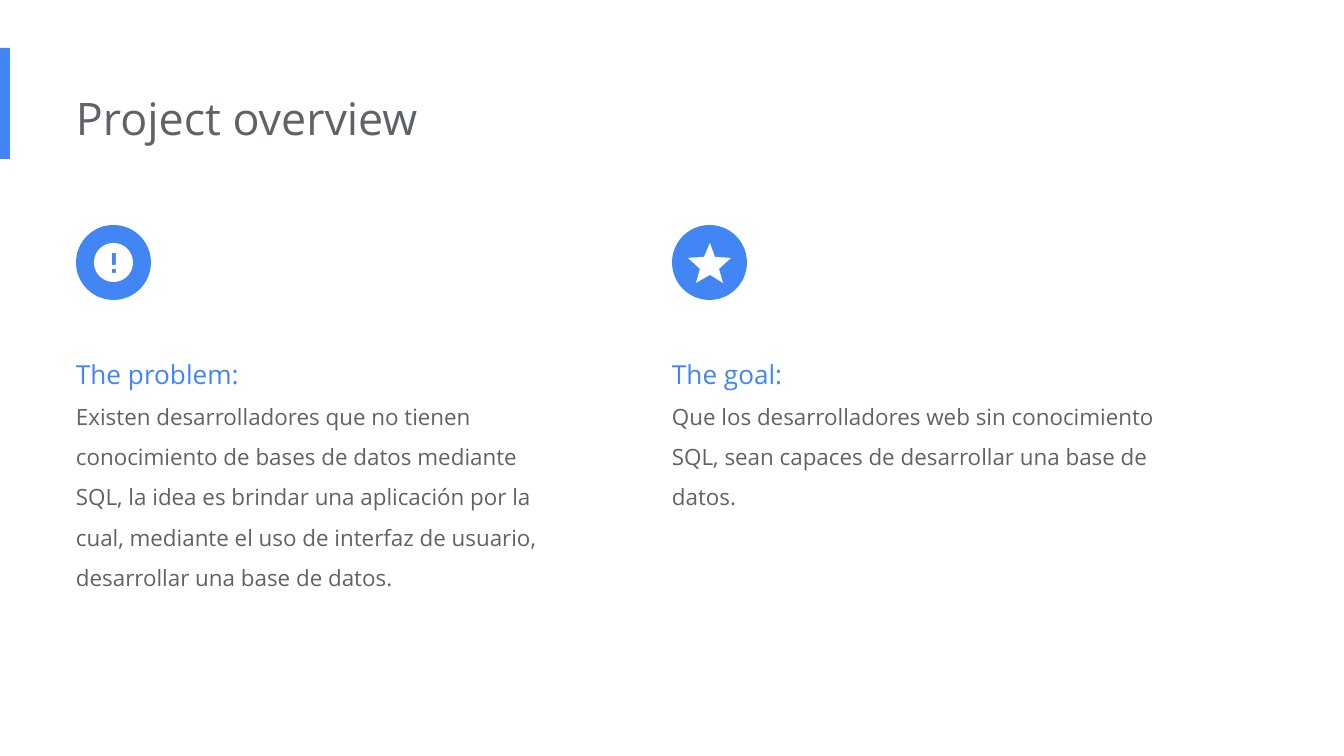
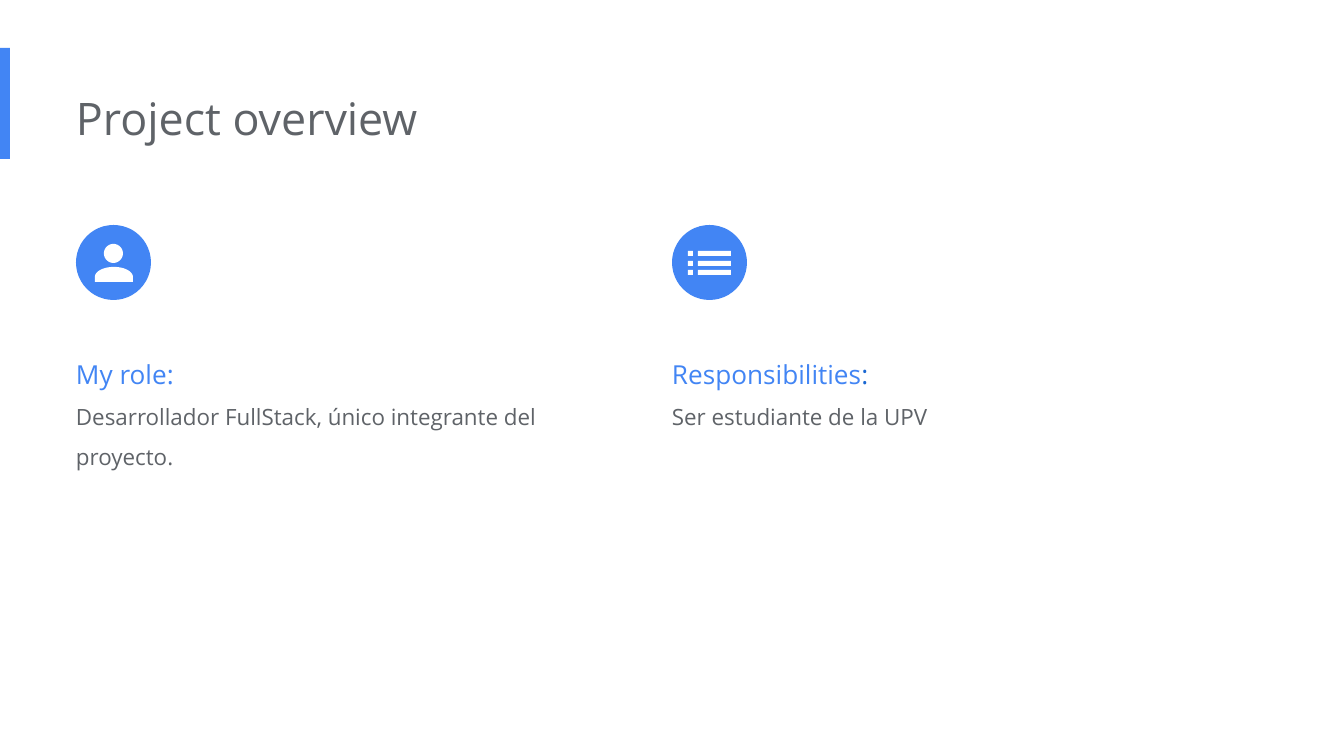
import math
from dataclasses import dataclass

import pptx
import pptx.dml.color
import pptx.enum.shapes
import pptx.enum.text
import pptx.shapes.base
import pptx.slide
import pptx.text.text
import pptx.util

SCALE = 9144000 / 1344
BLUE = "4285F4"
NAVY = "1967D2"
GRAY = "5F6368"
WHITE = "FFFFFF"
FACE = "Open Sans"
TITLE = "Project overview"
LEFT = 76
RIGHT = 672
DISC_TOP = 225
DISC_SIZE = 75
BODY_TOP = 329
BODY_WIDTH = 507

Point = tuple[float, float]
Outline = list[Point]


@dataclass(frozen=True)
class Span:
    text: str
    color: str
    size: int


@dataclass(frozen=True)
class Column:
    left: int
    height: int
    head: list[Span]
    body: str
    icon: list[Outline]


def emu(px: float) -> int:
    return round(px * SCALE)


def color(code: str) -> pptx.dml.color.RGBColor:
    return pptx.dml.color.RGBColor.from_string(code)


def format(target: object, values: dict[str, object]) -> None:
    for key, value in values.items():
        setattr(target, key, value)


def place(shape: pptx.shapes.base.BaseShape, *box: int) -> None:
    format(shape, dict(zip(("left", "top", "width", "height"), map(emu, box))))


def rect(left: int, top: int, width: int, height: int) -> Outline:
    right, base = left + width, top + height
    return [(left, top), (right, top), (right, base), (left, base)]


def arc(left: int, top: int, width: int, height: int, turn: int = 360) -> Outline:
    angles = [math.radians(180 + step) for step in range(0, turn + 1, 6)]
    return [
        (left + width / 2 * (1 + math.cos(a)), top + height / 2 * (1 + math.sin(a)))
        for a in angles
    ]


ALERT = [arc(18, 18, 39, 39), rect(36, 28, 4, 12), rect(36, 44, 4, 4)]
STAR = [[
    (38, 18), (43, 32), (59, 33), (47, 44), (51, 58),
    (38, 50), (24, 58), (28, 44), (16, 33), (32, 32),
]]
PERSON = [arc(28, 19, 19, 19), arc(19, 42, 38, 20, 180) + [(57, 57), (19, 57)]]
LIST = [rect(x, y, width, 5) for y in (26, 36, 45) for x, width in ((16, 5), (26, 33))]


def paint(shape: pptx.shapes.base.BaseShape, code: str) -> None:
    shape.shadow.inherit = False
    shape.fill.solid()
    shape.fill.fore_color.rgb = color(code)
    shape.line.fill.background()


def draw_shape(slide: pptx.slide.Slide, kind: pptx.enum.shapes.MSO_SHAPE, *box: int) -> None:
    paint(slide.shapes.add_shape(kind, *map(emu, box)), BLUE)


def draw_icon(slide: pptx.slide.Slide, left: int, icon: list[Outline]) -> None:
    paths = [[(emu(left + x), emu(DISC_TOP + y)) for x, y in path] for path in icon]
    pen = slide.shapes.build_freeform(*paths[0][0])
    for path in paths:
        if path is not paths[0]:
            pen.move_to(*path[0])
        pen.add_line_segments(path[1:], close=True)
    paint(pen.convert_to_shape(), WHITE)


def set_frame(frame: pptx.text.text.TextFrame) -> None:
    inset = pptx.util.Inches(0.1)
    format(frame, {
        "word_wrap": True,
        "auto_size": pptx.enum.text.MSO_AUTO_SIZE.SHAPE_TO_FIT_TEXT,
        "vertical_anchor": pptx.enum.text.MSO_ANCHOR.TOP,
        "margin_left": 0,
        "margin_top": inset,
        "margin_right": inset,
        "margin_bottom": inset,
    })


def write(para: pptx.text.text._Paragraph, spans: list[Span], spacing: float) -> None:
    format(para, {
        "alignment": pptx.enum.text.PP_ALIGN.LEFT,
        "line_spacing": spacing,
    })
    for span in spans:
        run = para.add_run()
        run.text = span.text
        format(run.font, {"name": FACE, "size": pptx.util.Pt(span.size)})
        run.font.color.rgb = color(span.color)


def draw_column(slide: pptx.slide.Slide, column: Column) -> None:
    box = slide.shapes.add_textbox(
        *map(emu, (column.left, BODY_TOP, BODY_WIDTH, column.height))
    )
    frame = box.text_frame
    set_frame(frame)
    write(frame.paragraphs[0], column.head, 1.5)
    write(frame.add_paragraph(), [Span(column.body, GRAY, 12)], 1.5)
    draw_shape(
        slide, pptx.enum.shapes.MSO_SHAPE.OVAL,
        column.left, DISC_TOP, DISC_SIZE, DISC_SIZE,
    )
    draw_icon(slide, column.left, column.icon)


def draw_title(slide: pptx.slide.Slide) -> None:
    draw_shape(slide, pptx.enum.shapes.MSO_SHAPE.RECTANGLE, 0, 48, 10, 111)
    title = slide.shapes.title
    place(title, LEFT, 77, 905, 82)
    set_frame(title.text_frame)
    write(title.text_frame.paragraphs[0], [Span(TITLE, GRAY, 24)], 1.0)


SLIDES = [
    [
        Column(
            LEFT, 265, [Span("The problem:", BLUE, 14)],
            "Existen desarrolladores que no tienen conocimiento de bases de datos "
            "mediante SQL, la idea es brindar una aplicación por la cual, mediante "
            "el uso de interfaz de usuario, desarrollar una base de datos.",
            ALERT,
        ),
        Column(
            RIGHT, 183, [Span("The goal:", BLUE, 14)],
            "Que los desarrolladores web sin conocimiento SQL, sean capaces de "
            "desarrollar una base de datos.",
            STAR,
        ),
    ],
    [
        Column(
            LEFT, 142, [Span("My role:", BLUE, 14)],
            "Desarrollador FullStack, único integrante del proyecto.",
            PERSON,
        ),
        Column(
            RIGHT, 102, [Span("Responsibilities", BLUE, 14), Span(":", NAVY, 14)],
            "Ser estudiante de la UPV",
            LIST,
        ),
    ],
]


def main() -> None:
    deck = pptx.Presentation()
    format(deck, {"slide_width": emu(1344), "slide_height": emu(756)})
    for columns in SLIDES:
        slide = deck.slides.add_slide(deck.slide_layouts[5])
        draw_title(slide)
        for column in columns:
            draw_column(slide, column)
    deck.save("out.pptx")


if __name__ == "__main__":
    main()
